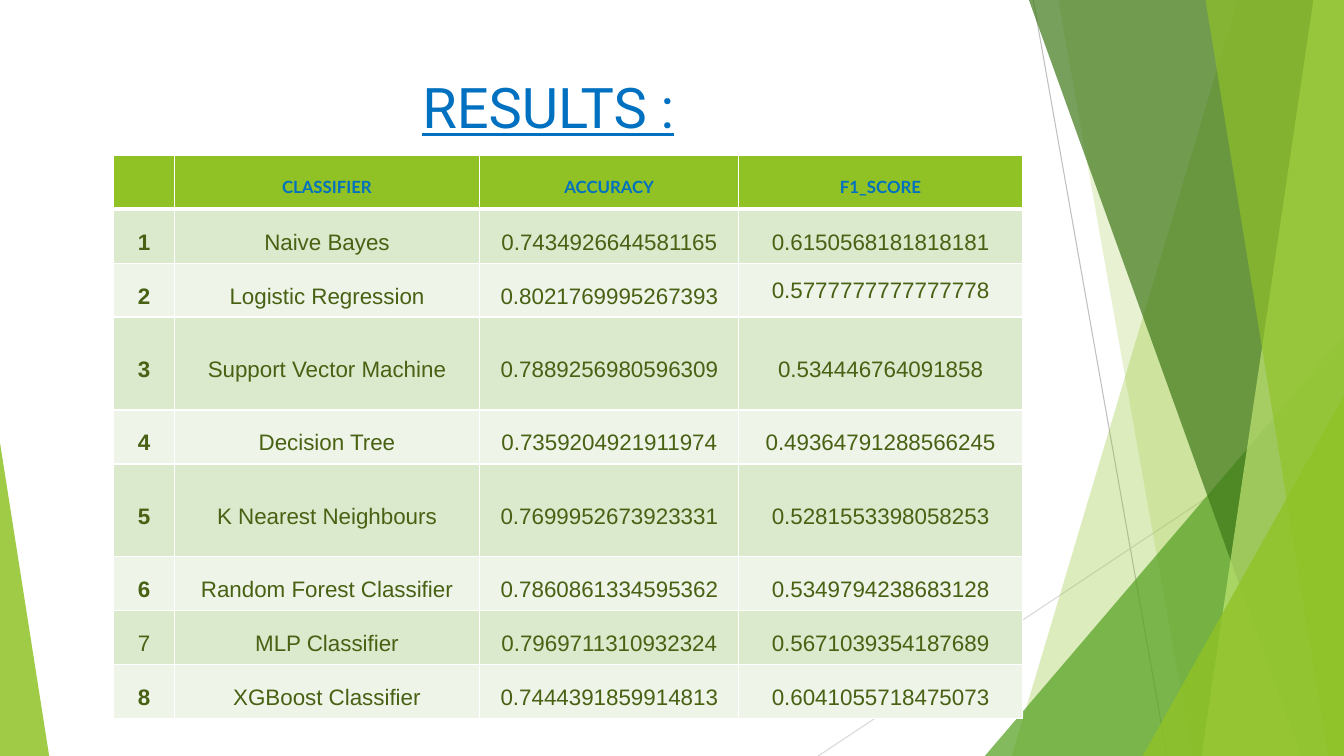
from lxml import etree
from pptx import Presentation
from pptx.dml.color import RGBColor
from pptx.enum.shapes import MSO_CONNECTOR, MSO_SHAPE
from pptx.enum.text import MSO_ANCHOR, MSO_AUTO_SIZE, PP_ALIGN
from pptx.oxml.ns import qn
from pptx.util import Cm, Pt

LINE = MSO_CONNECTOR.STRAIGHT
TRIANGLE = MSO_SHAPE.ISOSCELES_TRIANGLE
CENTER = PP_ALIGN.CENTER
TOP, MIDDLE = MSO_ANCHOR.TOP, MSO_ANCHOR.MIDDLE
NO_FIT = MSO_AUTO_SIZE.NONE

# Content
TITLE = "RESULTS :"
HEADS = ["", "CLASSIFIER", "ACCURACY", "F1_SCORE"]
SCORES = [
    ("Naive Bayes", "0.7434926644581165", "0.6150568181818181"),
    ("Logistic Regression", "0.8021769995267393", "0.5777777777777778"),
    ("Support Vector Machine", "0.7889256980596309", "0.534446764091858"),
    ("Decision Tree", "0.7359204921911974", "0.49364791288566245"),
    ("K Nearest Neighbours", "0.7699952673923331", "0.5281553398058253"),
    ("Random Forest Classifier", "0.7860861334595362", "0.5349794238683128"),
    ("MLP Classifier", "0.7969711310932324", "0.5671039354187689"),
    ("XGBoost Classifier", "0.7444391859914813", "0.6041055718475073"),
]
ROWS = [HEADS] + [(str(n), *score) for n, score in enumerate(SCORES, 1)]

# Measures in cm
WIDE, HIGH = 33.87, 19.05
COLS = [1.52, 7.7, 6.53, 7.14]
LOW, TALL = 1.36, 2.34
TALL_ROWS = (3, 5)
PLAIN_ROW = 7       # its number is not bold
TIGHT_CELL = (2, 3)  # its line spacing is smaller

BLUE, GREEN, OLIVE, WHITE = "0070C0", "90C226", "486113", "FFFFFF"
STRIPES = ["EEF4E8", "DBE9CD"]

# Thin lines: x1, y1, x2, y2, colour
RAYS = [
    (26.04, 0, 29.41, HIGH, "BFBFBF"),
    (WIDE, 10.24, 20.62, HIGH, "D9D9D9"),
]
# Bands run to the right edge: top x, bottom x
# Triangles stand on the bottom edge: left, top, width, peak
FACETS = [
    ("band", (31.19, 25.5), GREEN, 30),
    ("band", (26.67, 30.05), GREEN, 20),
    ("peak", (24.82, 8.46, 9.05, 1), "54A021", 72),
    ("band", (25.93, 32.79), "3F7819", 70),
    ("band", (33.1, 30.28), "C0E474", 70),
    ("band", (30.38, 33.48), GREEN, 65),
    ("peak", (28.8, 9.98, 5.07, 1), GREEN, 80),
    ("peak", (0, 11.15, 1.24, 0), GREEN, 85),
]


def color(code):
    return RGBColor.from_string(code)


def write(frame, text, size, font, tint, bold=False, under=False, space=1.0):
    para = frame.paragraphs[0]
    para.alignment = CENTER
    para.line_spacing = space
    run = para.add_run()
    run.text = text
    run.font.size = Pt(size)
    run.font.name = font
    run.font.bold = bold
    run.font.underline = under
    run.font.color.rgb = color(tint)


def paint(shape, tint, alpha):
    shape.shadow.inherit = False
    shape.line.fill.background()
    shape.fill.solid()
    shape.fill.fore_color.rgb = color(tint)
    node = shape.fill._xPr.find(".//" + qn("a:srgbClr"))
    etree.SubElement(node, qn("a:alpha")).set("val", str(alpha * 1000))


def border(cell, **widths):
    props = cell._tc.get_or_add_tcPr()
    for i, side in enumerate("LRTB"):
        line = etree.Element(qn("a:ln" + side), w=str(Pt(widths.get(side, 1))))
        fill = etree.SubElement(line, qn("a:solidFill"))
        etree.SubElement(fill, qn("a:srgbClr")).set("val", WHITE)
        props.insert(i, line)


def main():
    deck = Presentation()
    deck.slide_width, deck.slide_height = Cm(WIDE), Cm(HIGH)
    slide = deck.slides.add_slide(deck.slide_layouts[5])
    shapes = slide.shapes

    # Backdrop
    for x1, y1, x2, y2, tint in RAYS:
        ray = shapes.add_connector(LINE, Cm(x1), Cm(y1), Cm(x2), Cm(y2))
        ray.line.color.rgb = color(tint)
        ray.line.width = Pt(0.75)
        etree.SubElement(ray._element.spPr, qn("a:effectLst"))
    for kind, form, tint, alpha in FACETS:
        if kind == "band":
            top, low = form
            pen = shapes.build_freeform(Cm(top), 0)
            pen.add_line_segments(
                [(Cm(WIDE), 0), (Cm(WIDE), Cm(HIGH)), (Cm(low), Cm(HIGH))])
            facet = pen.convert_to_shape()
        else:
            left, top, width, peak = form
            facet = shapes.add_shape(
                TRIANGLE, Cm(left), Cm(top), Cm(width), Cm(HIGH - top))
            facet.adjustments[0] = peak
        paint(facet, tint, alpha)

    # Title
    title = shapes.title
    title.left, title.top = Cm(1.88), Cm(1.7)
    title.width, title.height = Cm(23.88), Cm(3.66)
    frame = title.text_frame
    frame.auto_size = NO_FIT
    frame.vertical_anchor = TOP
    write(frame, TITLE, 40, "Roboto", BLUE, under=True)

    # Table
    highs = [TALL if r in TALL_ROWS else LOW for r in range(len(ROWS))]
    table = shapes.add_table(len(ROWS), len(COLS), Cm(2.87), Cm(3.91),
                             Cm(sum(COLS)), Cm(sum(highs))).table
    for col, width in zip(table.columns, COLS):
        col.width = Cm(width)
    for r, row in enumerate(ROWS):
        table.rows[r].height = Cm(highs[r])
        for c, text in enumerate(row):
            cell = table.cell(r, c)
            cell.vertical_anchor = MIDDLE
            cell.margin_left = cell.margin_right = Cm(0.18)
            cell.margin_top = cell.margin_bottom = 0
            cell.fill.solid()
            cell.fill.fore_color.rgb = color(STRIPES[r % 2] if r else GREEN)
            border(cell, T=3 if r == 1 else 1, B=1 if r else 3)
            if r == 0 and text:
                write(cell.text_frame, text, 12, "Lato", BLUE, bold=True, space=1.5)
            elif text:
                write(cell.text_frame, text, 16, "Arial", OLIVE,
                      bold=c == 0 and r != PLAIN_ROW,
                      space=1.07 if (r, c) == TIGHT_CELL else 1.5)

    deck.save("out.pptx")


if __name__ == "__main__":
    main()
